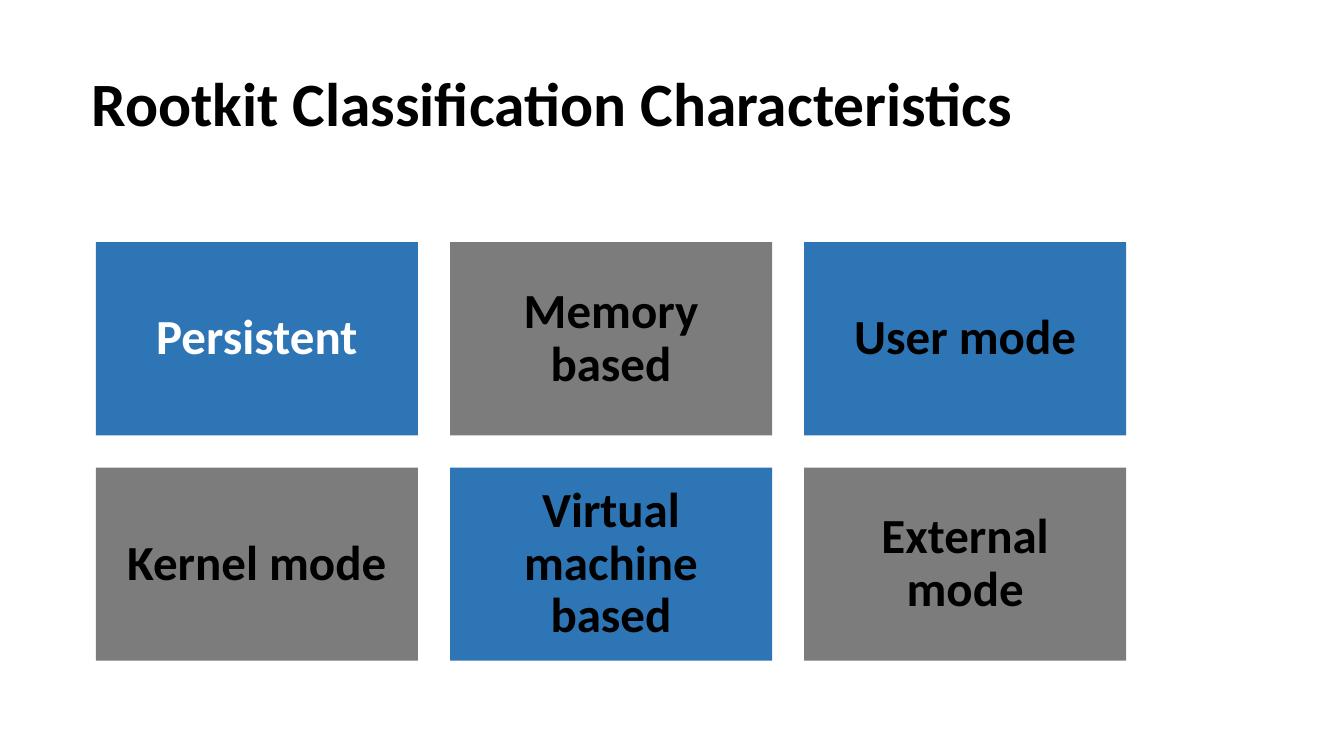
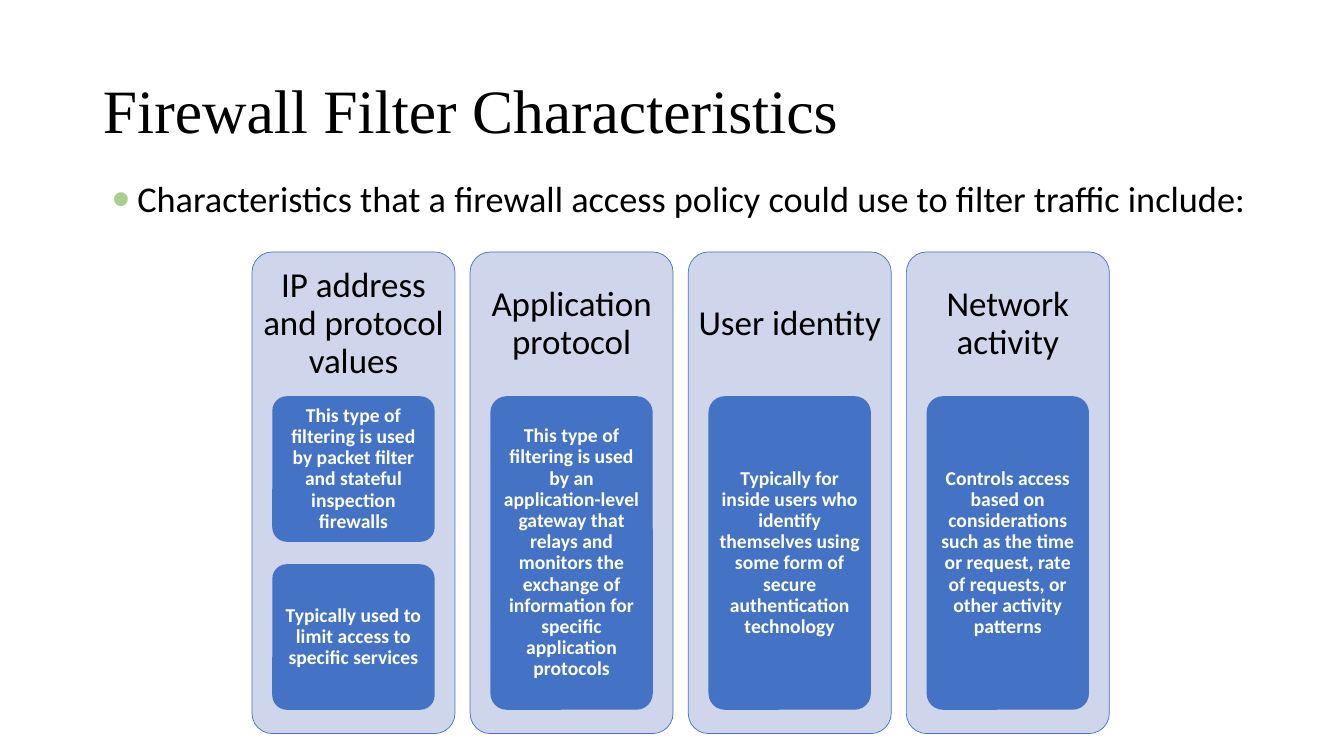
from lxml import etree
from pptx import Presentation
from pptx.dml.color import RGBColor
from pptx.enum.shapes import MSO_SHAPE as Shape
from pptx.enum.text import MSO_ANCHOR as Anchor, PP_ALIGN as Align
from pptx.oxml.ns import qn
from pptx.util import Pt

# Content
ROOTKIT_TITLE = "Rootkit Classification Characteristics"
ROOTKIT_TYPES = ["Persistent", "Memory based", "User mode",
                 "Kernel mode", "Virtual machine based", "External mode"]
FIREWALL_TITLE = "Firewall Filter Characteristics"
FIREWALL_INTRO = ("Characteristics that a firewall access policy could use "
                  "to filter traffic include:")
FILTERS = [
    ("IP address and protocol values", [
        "This type of filtering is used by packet filter and stateful "
        "inspection firewalls",
        "Typically used to limit access to specific services"]),
    ("Application protocol", [
        "This type of filtering is used by an application-level gateway that "
        "relays and monitors the exchange of information for specific "
        "application protocols"]),
    ("User identity", [
        "Typically for inside users who identify themselves using some form "
        "of secure authentication technology"]),
    ("Network activity", [
        "Controls access based on considerations such as the time or request, "
        "rate of requests, or other activity patterns"]),
]

# Shared style
BLACK, WHITE = "000000", "FFFFFF"
TILE_FILLS = ("2E75B6", "7C7C7C")
PANEL, CARD, BULLET = "CFD5EA", "4472C4", "A9D18E"
SANS, SERIF = "Calibri", "Times New Roman"


def color(value):
    return RGBColor.from_string(value)


def write(shape, text, size, ink=BLACK, font=SANS, bold=False,
          align=Align.CENTER, anchor=Anchor.MIDDLE, inset=(7.2, 3.6)):
    """Put one styled paragraph in a shape and return it."""
    frame = shape.text_frame
    frame.word_wrap = True
    frame.vertical_anchor = anchor
    frame.margin_left = frame.margin_right = Pt(inset[0])
    frame.margin_top = frame.margin_bottom = Pt(inset[1])
    paragraph = frame.paragraphs[0]
    paragraph.text = text
    paragraph.alignment = align
    paragraph.line_spacing = 0.9
    paragraph.font.name = font
    paragraph.font.size = Pt(size)
    paragraph.font.bold = bold
    paragraph.font.color.rgb = color(ink)
    return paragraph


def add_text(slide, box, text, size, **style):
    shape = slide.shapes.add_textbox(*map(Pt, box))
    return write(shape, text, size, **style)


def add_box(slide, kind, box, fill, line=None):
    shape = slide.shapes.add_shape(kind, *map(Pt, box))
    shape.shadow.inherit = False
    shape.fill.solid()
    shape.fill.fore_color.rgb = color(fill)
    if line:
        shape.line.color.rgb = color(line)
        shape.line.width = Pt(0.5)
    else:
        shape.line.fill.background()
    if kind == Shape.ROUNDED_RECTANGLE:
        shape.adjustments[0] = 0.1
    return shape


def add_title(slide, box, text, **style):
    add_text(slide, box, text, 44, align=Align.LEFT, **style)


def add_bullet(paragraph, indent):
    properties = paragraph._p.get_or_add_pPr()
    properties.set("marL", str(Pt(indent)))
    properties.set("indent", str(-Pt(indent)))
    bullet_color = etree.SubElement(properties, qn("a:buClr"))
    etree.SubElement(bullet_color, qn("a:srgbClr"), val=BULLET)
    etree.SubElement(properties, qn("a:buSzPct"), val="140000")
    etree.SubElement(properties, qn("a:buFont"), typeface="Arial")
    etree.SubElement(properties, qn("a:buChar"), char="•")


def build_rootkit_slide(slide):
    add_title(slide, (58.5, 36, 735, 80), ROOTKIT_TITLE, bold=True)
    # Tiles: three per row, alternating fills
    left, top, width, height, gap = 68.5, 173, 230, 138, 23
    for index, name in enumerate(ROOTKIT_TYPES):
        row, column = divmod(index, 3)
        box = (left + column * (width + gap), top + row * (height + gap),
               width, height)
        tile = add_box(slide, Shape.RECTANGLE, box, TILE_FILLS[index % 2])
        write(tile, name, 35, ink=BLACK if index else WHITE, bold=True,
              inset=(10.5, 10.5))


def build_firewall_slide(slide):
    add_title(slide, (66.5, 28.5, 828, 104.5), FIREWALL_TITLE, font=SERIF)
    intro = add_text(slide, (73, 126, 838, 54), FIREWALL_INTRO, 25.9,
                     align=Align.LEFT, anchor=Anchor.TOP)
    add_bullet(intro, 18)
    # Columns: a panel with a heading and equal cards below it
    left, top, width, height, gap = 180, 180, 145, 344, 10.8
    heading_height, cards_height, card_gap, side = 103, 224, 16, 14.5
    for index, (heading, notes) in enumerate(FILTERS):
        x = left + index * (width + gap)
        add_box(slide, Shape.ROUNDED_RECTANGLE, (x, top, width, height),
                PANEL, CARD)
        add_text(slide, (x, top, width, heading_height), heading, 25,
                 inset=(7, 7))
        card_height = (cards_height + card_gap) / len(notes) - card_gap
        for position, note in enumerate(notes):
            y = top + heading_height + position * (card_height + card_gap)
            card = add_box(slide, Shape.ROUNDED_RECTANGLE,
                           (x + side, y, width - 2 * side, card_height), CARD)
            write(card, note, 14, ink=WHITE, bold=True, inset=(2.8, 2.1))


def main():
    presentation = Presentation()
    presentation.slide_width, presentation.slide_height = Pt(960), Pt(540)
    blank = presentation.slide_layouts[6]
    for build in (build_rootkit_slide, build_firewall_slide):
        build(presentation.slides.add_slide(blank))
    presentation.save("out.pptx")


if __name__ == "__main__":
    main()
